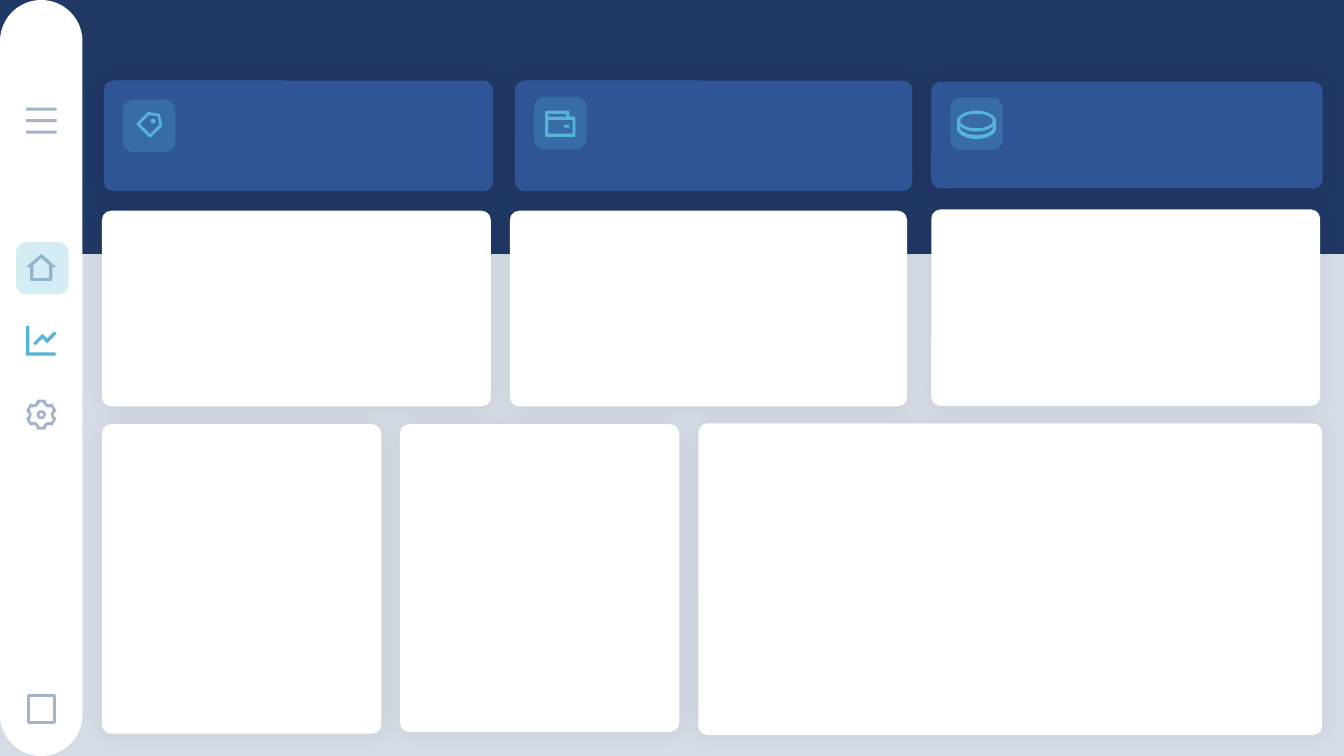
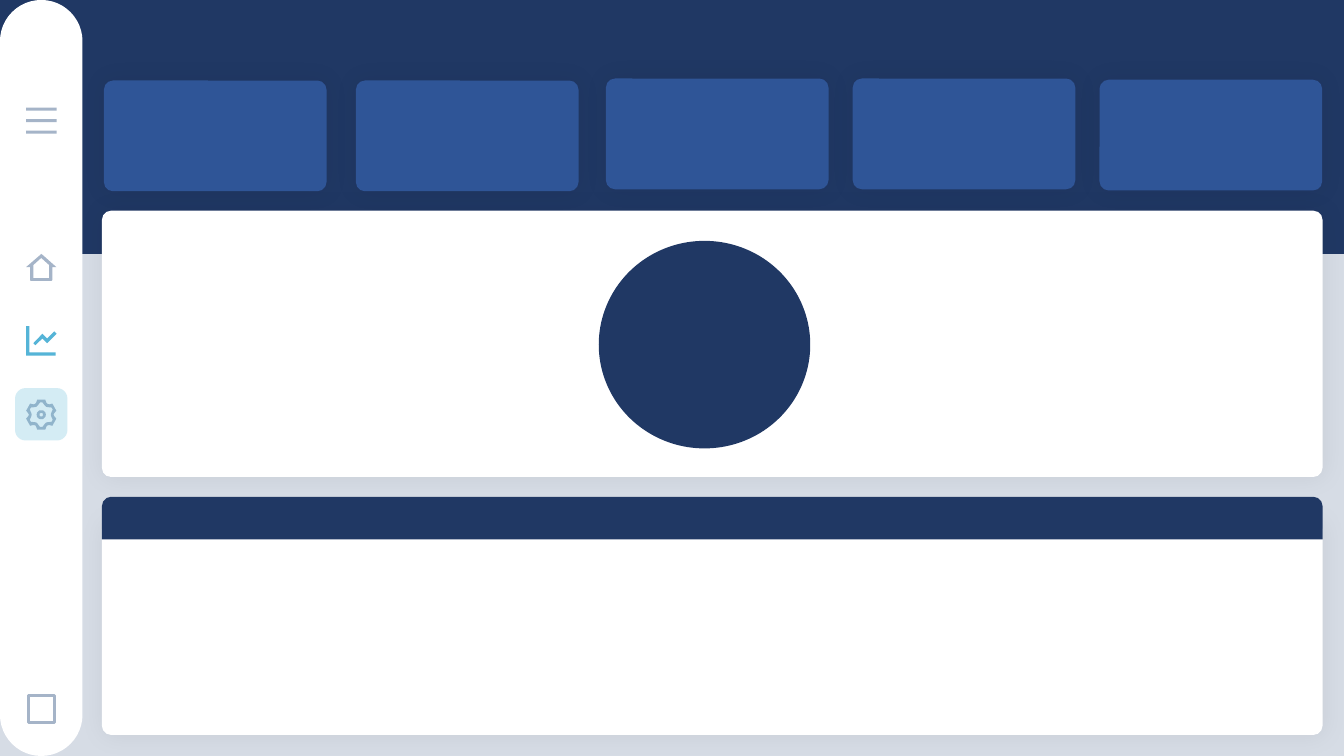
from math import cos, radians, sin

from lxml import etree
from pptx import Presentation
from pptx.dml.color import RGBColor
from pptx.enum.shapes import MSO_SHAPE
from pptx.oxml.ns import qn
from pptx.util import Cm

RECT = MSO_SHAPE.RECTANGLE
ROUNDED = MSO_SHAPE.ROUNDED_RECTANGLE
TOP_ROUNDED = MSO_SHAPE.ROUND_2_SAME_RECTANGLE
ELLIPSE = MSO_SHAPE.OVAL

COLORS = {
    "navy": "203864",
    "blue": "2F5597",
    "mist": "D6DCE5",
    "white": "FFFFFF",
    "aqua": "55B4D7",
    "slate": "A5B4C8",
    "shadow": "000000",
}
WIDTH, HEIGHT = 33.87, 19.05
HEADER_HEIGHT = 6.4
SIDEBAR_WIDTH = 2.08
TILE = 1.32
CARD_RADIUS = 0.23


def arc(center_x, center_y, radius_x, radius_y, start=0, end=360, steps=32):
    angles = [radians(start + (end - start) * i / steps) for i in range(steps + 1)]
    return [(center_x + radius_x * cos(a), center_y + radius_y * sin(a)) for a in angles]


def gear_outline(profile):
    return [
        (38 + r * cos(radians(tooth + offset)), 39 + r * sin(radians(tooth + offset)))
        for tooth in range(30, 390, 60)
        for offset, r in profile
    ]


def bar(left, top, right, bottom):
    return [(left, top), (right, top), (right, bottom), (left, bottom)]


ICONS = {
    "menu": [bar(0, top, 77, top + 8) for top in (0, 29, 58)],
    "home": [
        [(64, 68), (12, 68), (10, 66), (10, 33), (0, 33), (36, 2), (38, 0), (41, 2),
         (76, 33), (66, 33), (66, 66)],
        [(18, 61), (58, 61), (58, 28), (38, 10), (18, 28)],
    ],
    "trend": [
        [(0, 0), (8, 0), (8, 66), (74, 66), (74, 74), (0, 74)],
        [(71, 13), (77, 19), (53, 43), (41, 31), (23, 48), (18, 43), (41, 19), (53, 31)],
    ],
    "gear": [
        gear_outline([(-15, 39), (15, 39), (23, 33), (30, 31), (37, 33)]),
        gear_outline([(-5, 31.5), (5, 31.5), (20, 25), (30, 23.5), (40, 25)]),
        arc(38, 39, 11.5, 11.5),
        arc(38, 39, 4.5, 4.5),
    ],
    "tag": [
        [(28, 0), (58, 5), (64, 36), (36, 63), (33, 64), (30, 63), (0, 33), (0, 28)],
        [(30, 8), (8, 30), (33, 56), (56, 33), (53, 11)],
        arc(41, 23, 6, 6),
    ],
    "wallet": [
        [(61, 0), (61, 15), (73, 15), (76, 18), (76, 64), (73, 66), (3, 66), (0, 64),
         (0, 3), (3, 0)],
        bar(8, 23, 69, 58),
        bar(8, 8, 53, 15),
        bar(48, 36, 61, 43),
    ],
    "coin": [
        arc(49, 26, 49, 26, 180, 360) + arc(49, 45, 49, 26, 0, 180),
        arc(49, 26, 49, 26, 147, 33) + arc(49, 43, 41, 18, 0, 180),
        arc(49, 26, 41, 18),
    ],
}

NAVIGATION = [
    ("menu", 2.71, "slate"),
    ("home", 6.4, "slate"),
    ("trend", 8.22, "aqua"),
    ("gear", 10.06, "slate"),
]
NAVIGATION_LEFT = 0.66
PROFILE_BOX = (0.71, 17.53, 0.67, 0.67)

OVERVIEW = {
    "metrics": [
        (2.62, 2.03, 9.8, 2.79),
        (12.98, 2.03, 10.01, 2.79),
        (23.47, 2.06, 9.86, 2.69),
    ],
    "panels": [
        (2.57, 5.31, 9.8, 4.93),
        (12.85, 5.31, 10.01, 4.93),
        (23.47, 5.28, 9.8, 4.95),
        (2.57, 10.69, 7.04, 7.8),
        (10.08, 10.69, 7.04, 7.75),
        (17.6, 10.67, 15.72, 7.85),
    ],
    "active": (0.41, 6.1),
}
METRIC_ICONS = [
    ("tag", (3.1, 2.51), (3.45, 2.82)),
    ("wallet", (13.46, 2.44), (13.74, 2.79)),
    ("coin", (23.95, 2.46), (24.12, 2.79)),
]

DETAILS = {
    "metrics": [
        (left, top, 5.61, 2.79)
        for left, top in [(2.62, 2.03), (8.97, 2.03), (15.27, 1.98), (21.49, 1.98), (27.71, 2.01)]
    ],
    "panels": [(2.57, 5.31, 30.76, 6.71), (2.57, 13.11, 30.76, 5.41)],
    "active": (0.38, 9.78),
}
DETAILS_CIRCLE = (15.09, 6.07, 5.33, 5.23)
TABLE_HEADER = (2.57, 12.52, 30.76, 1.07)


def paint(shape, color, alpha=None):
    shape.shadow.inherit = False
    shape.line.fill.background()
    shape.fill.solid()
    shape.fill.fore_color.rgb = RGBColor.from_string(COLORS[color])
    if alpha is not None:
        tint = next(shape.element.iter(qn("a:srgbClr")))
        etree.SubElement(tint, qn("a:alpha"), val=str(alpha * 1000))


def add_block(slide, preset, box, color, radius=None, alpha=None):
    block = slide.shapes.add_shape(preset, *map(Cm, box))
    if radius is not None:
        block.adjustments[0] = radius / min(box[2:])
    paint(block, color, alpha)
    return block


def add_card(slide, box, color):
    card = add_block(slide, ROUNDED, box, color, CARD_RADIUS)
    effects = next(card.element.iter(qn("a:effectLst")))
    glow = etree.SubElement(effects, qn("a:outerShdw"), blurRad=str(Cm(0.6)), dist="0")
    tone = etree.SubElement(glow, qn("a:srgbClr"), val=COLORS["shadow"])
    etree.SubElement(tone, qn("a:alpha"), val="6000")


def add_tile(slide, corner):
    add_block(slide, ROUNDED, (*corner, TILE, TILE), "aqua", TILE / 5, alpha=25)


def add_icon(slide, icon, corner, color):
    first, *others = ICONS[icon]
    outline = slide.shapes.build_freeform(*first[0], scale=Cm(0.01))
    outline.add_line_segments(first[1:], close=True)
    for contour in others:
        outline.move_to(*contour[0])
        outline.add_line_segments(contour[1:], close=True)
    paint(outline.convert_to_shape(*map(Cm, corner)), color)


def add_dashboard(deck, content):
    slide = deck.slides.add_slide(deck.slide_layouts[6])
    add_block(slide, RECT, (0, HEADER_HEIGHT, WIDTH, HEIGHT - HEADER_HEIGHT), "mist")
    add_block(slide, RECT, (0, 0, WIDTH, HEADER_HEIGHT), "navy")
    for kind, color in (("metrics", "blue"), ("panels", "white")):
        for box in content[kind]:
            add_card(slide, box, color)
    add_block(slide, ROUNDED, (0, 0, SIDEBAR_WIDTH, HEIGHT), "white", SIDEBAR_WIDTH / 2)
    for icon, top, color in NAVIGATION:
        add_icon(slide, icon, (NAVIGATION_LEFT, top), color)
    profile = add_block(slide, RECT, PROFILE_BOX, "white")
    profile.line.color.rgb = RGBColor.from_string(COLORS["slate"])
    profile.line.width = Cm(0.08)
    add_tile(slide, content["active"])
    return slide


deck = Presentation()
deck.slide_width, deck.slide_height = Cm(WIDTH), Cm(HEIGHT)

overview = add_dashboard(deck, OVERVIEW)
for icon, tile_corner, icon_corner in METRIC_ICONS:
    add_tile(overview, tile_corner)
    add_icon(overview, icon, icon_corner, "aqua")

details = add_dashboard(deck, DETAILS)
add_block(details, ELLIPSE, DETAILS_CIRCLE, "navy")
add_block(details, TOP_ROUNDED, TABLE_HEADER, "navy", CARD_RADIUS)

deck.save("out.pptx")
